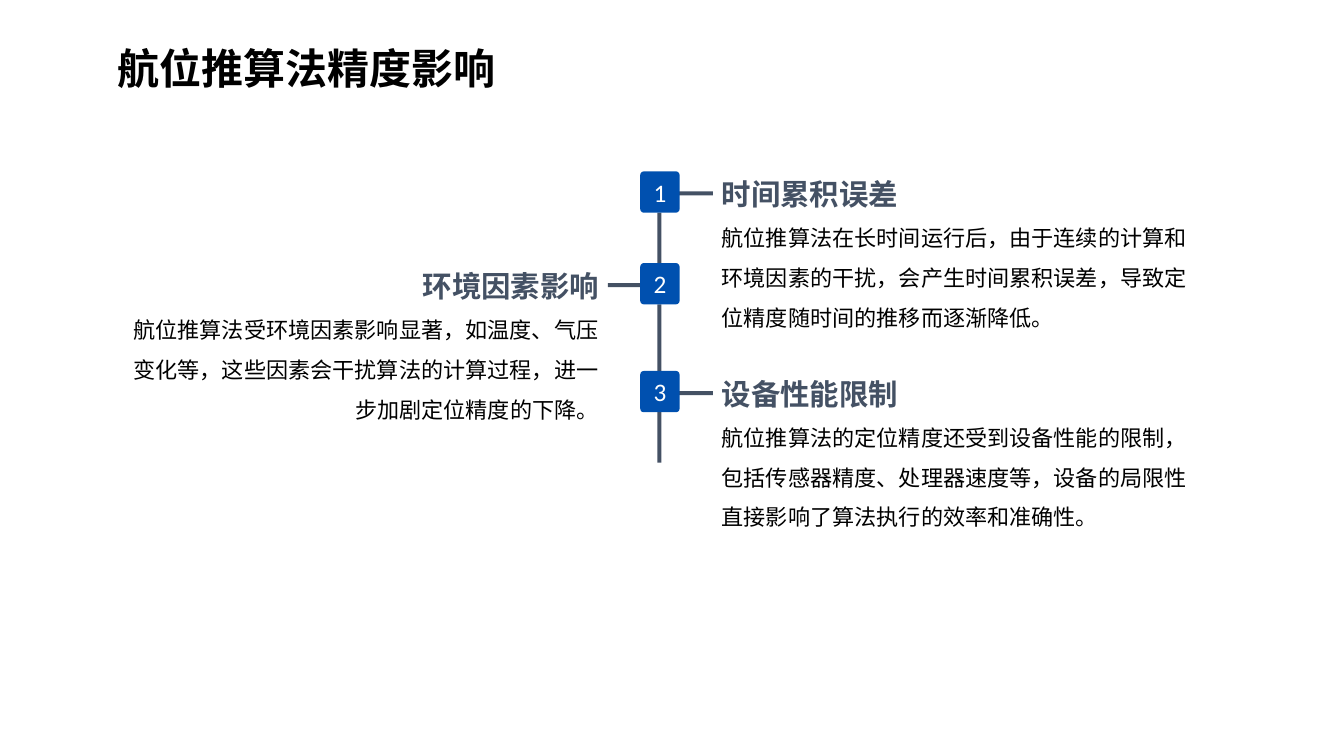
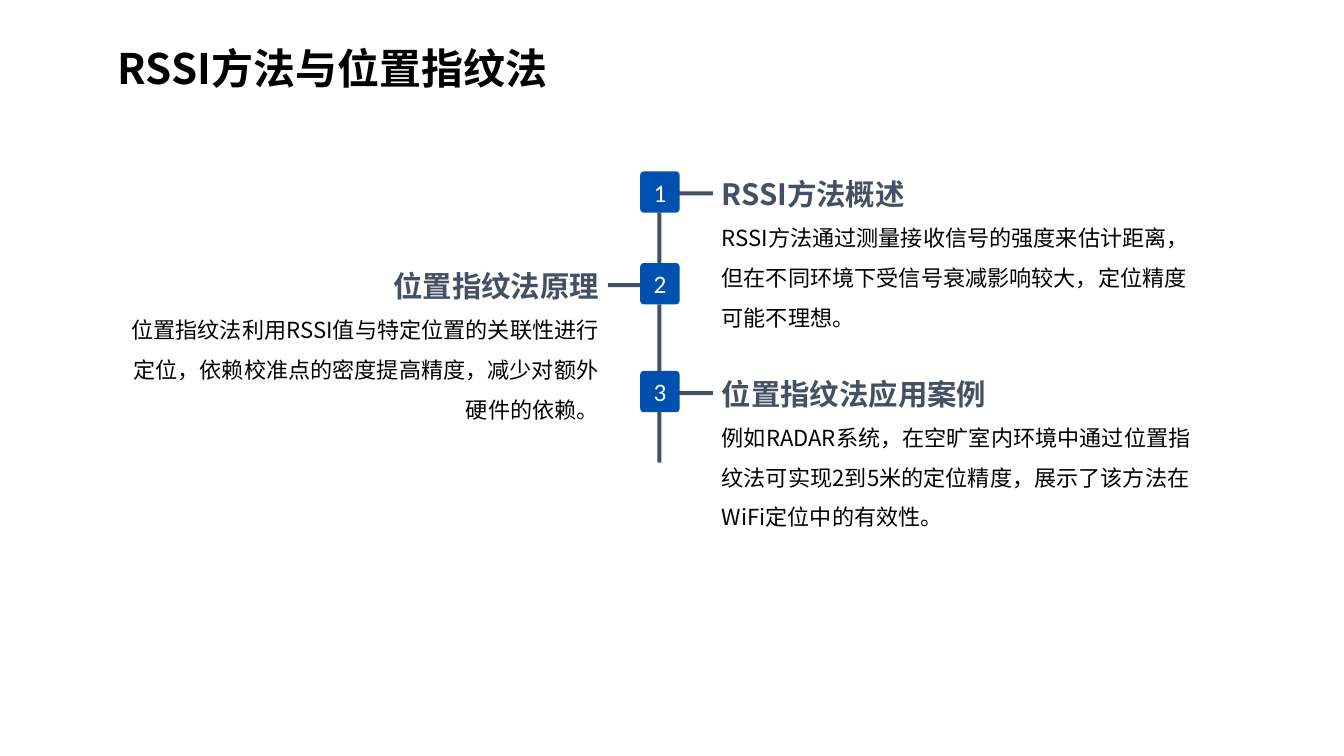
from dataclasses import dataclass

from lxml.etree import SubElement
from pptx import Presentation
from pptx.dml.color import RGBColor
from pptx.enum.shapes import MSO_SHAPE
from pptx.enum.text import MSO_ANCHOR, MSO_AUTO_SIZE, PP_ALIGN
from pptx.oxml.ns import qn
from pptx.util import Pt

EMU = 9144  # one px is a hundredth of an inch
SANS, LATIN = "Noto Sans CJK SC", "Calibri"
BLACK, WHITE, SLATE, BLUE = "000000", "FFFFFF", "445164", "0050AF"

TOPS = (170, 261, 368)
BADGE_X, BADGE_W, BADGE_H = 635, 39, 41
RAIL_X, RAIL_END, THICK = 652, 459, 4
TICK_W, TICK_DROP = 34, 20
TEXT_W, TEXT_H = 497, 163


@dataclass(frozen=True)
class Side:
    text_x: int
    tick_x: int
    align: PP_ALIGN


@dataclass(frozen=True)
class Point:
    head: str
    body: str


@dataclass(frozen=True)
class Page:
    title: str
    points: tuple[Point, ...]


LEFT = Side(107, 603, PP_ALIGN.RIGHT)
RIGHT = Side(706, 673, PP_ALIGN.LEFT)
SIDES = (RIGHT, LEFT, RIGHT)

PAGES = (
    Page("航位推算法精度影响", (
        Point("时间累积误差",
              "航位推算法在长时间运行后，由于连续的计算和环境因素的干扰，"
              "会产生时间累积误差，导致定位精度随时间的推移而逐渐降低。"),
        Point("环境因素影响",
              "航位推算法受环境因素影响显著，如温度、气压变化等，"
              "这些因素会干扰算法的计算过程，进一步加剧定位精度的下降。"),
        Point("设备性能限制",
              "航位推算法的定位精度还受到设备性能的限制，包括传感器精度、"
              "处理器速度等，设备的局限性直接影响了算法执行的效率和准确性。"),
    )),
    Page("RSSI方法与位置指纹法", (
        Point("RSSI方法概述",
              "RSSI方法通过测量接收信号的强度来估计距离，"
              "但在不同环境下受信号衰减影响较大，定位精度可能不理想。"),
        Point("位置指纹法原理",
              "位置指纹法利用RSSI值与特定位置的关联性进行定位，"
              "依赖校准点的密度提高精度，减少对额外硬件的依赖。"),
        Point("位置指纹法应用案例",
              "例如RADAR系统，在空旷室内环境中通过位置指纹法可实现2到5米的"
              "定位精度，展示了该方法在WiFi定位中的有效性。"),
    )),
)


def px(*nums: int) -> list[int]:
    return [num * EMU for num in nums]


def rgb(code: str) -> RGBColor:
    return RGBColor.from_string(code)


def add_run(para, text: str, size: float, color: str,
            bold: bool = False, face: str = SANS) -> None:
    run = para.add_run()
    run.text = text
    font = run.font
    font.size, font.bold, font.name = Pt(size), bold, face
    font.color.rgb = rgb(color)
    SubElement(run._r.get_or_add_rPr(), qn("a:ea"), typeface=face)


def set_frame(frame) -> None:
    """Wrap the text, centre it upright and let its box grow."""
    frame.word_wrap = True
    frame.auto_size = MSO_AUTO_SIZE.SHAPE_TO_FIT_TEXT
    frame.vertical_anchor = MSO_ANCHOR.MIDDLE


def add_block(slide, kind: MSO_SHAPE, box: tuple[int, ...], color: str):
    block = slide.shapes.add_shape(kind, *px(*box))
    block.shadow.inherit = False
    block.fill.solid()
    block.fill.fore_color.rgb = rgb(color)
    block.line.fill.background()
    return block


def add_title(slide, text: str) -> None:
    title = slide.shapes.title
    title.left, title.top, title.width, title.height = px(107, 12, 1025, 85)
    set_frame(title.text_frame)
    para = title.text_frame.paragraphs[0]
    para.alignment, para.line_spacing = PP_ALIGN.LEFT, 1.5
    add_run(para, text, 30, BLACK, bold=True)


def add_point(slide, point: Point, side: Side, top: int) -> None:
    frame = slide.shapes.add_textbox(
        *px(side.text_x, top, TEXT_W, TEXT_H)).text_frame
    set_frame(frame)
    head, body = frame.paragraphs[0], frame.add_paragraph()
    head.alignment = body.alignment = side.align
    body.line_spacing = 1.5
    add_run(head, point.head, 21, SLATE, bold=True)
    add_run(body, point.body, 15.8, BLACK)


def add_node(slide, num: int, side: Side, top: int, end: int) -> None:
    """Draw a numbered badge, its tick and the rail down to end."""
    foot = top + BADGE_H
    add_block(slide, MSO_SHAPE.RECTANGLE,
              (RAIL_X, foot, THICK, end - foot), SLATE)
    add_block(slide, MSO_SHAPE.RECTANGLE,
              (side.tick_x, top + TICK_DROP, TICK_W, THICK), SLATE)
    badge = add_block(slide, MSO_SHAPE.ROUNDED_RECTANGLE,
                      (BADGE_X, top, BADGE_W, BADGE_H), BLUE)
    badge.adjustments[0] = 0.09
    frame = badge.text_frame
    frame.margin_left = frame.margin_right = 0
    frame.vertical_anchor = MSO_ANCHOR.MIDDLE
    para = frame.paragraphs[0]
    para.alignment = PP_ALIGN.CENTER
    add_run(para, str(num), 18, WHITE, face=LATIN)


def add_page(deck, page: Page) -> None:
    slide = deck.slides.add_slide(deck.slide_layouts.get_by_name("Title Only"))
    add_title(slide, page.title)
    for point, side, top in zip(page.points, SIDES, TOPS):
        add_point(slide, point, side, top)
    ends = (*TOPS[1:], RAIL_END)
    for num, (side, top, end) in enumerate(zip(SIDES, TOPS, ends), 1):
        add_node(slide, num, side, top, end)


def main() -> None:
    deck = Presentation()
    deck.slide_width, deck.slide_height = px(1333, 750)
    for page in PAGES:
        add_page(deck, page)
    deck.save("out.pptx")


if __name__ == "__main__":
    main()
